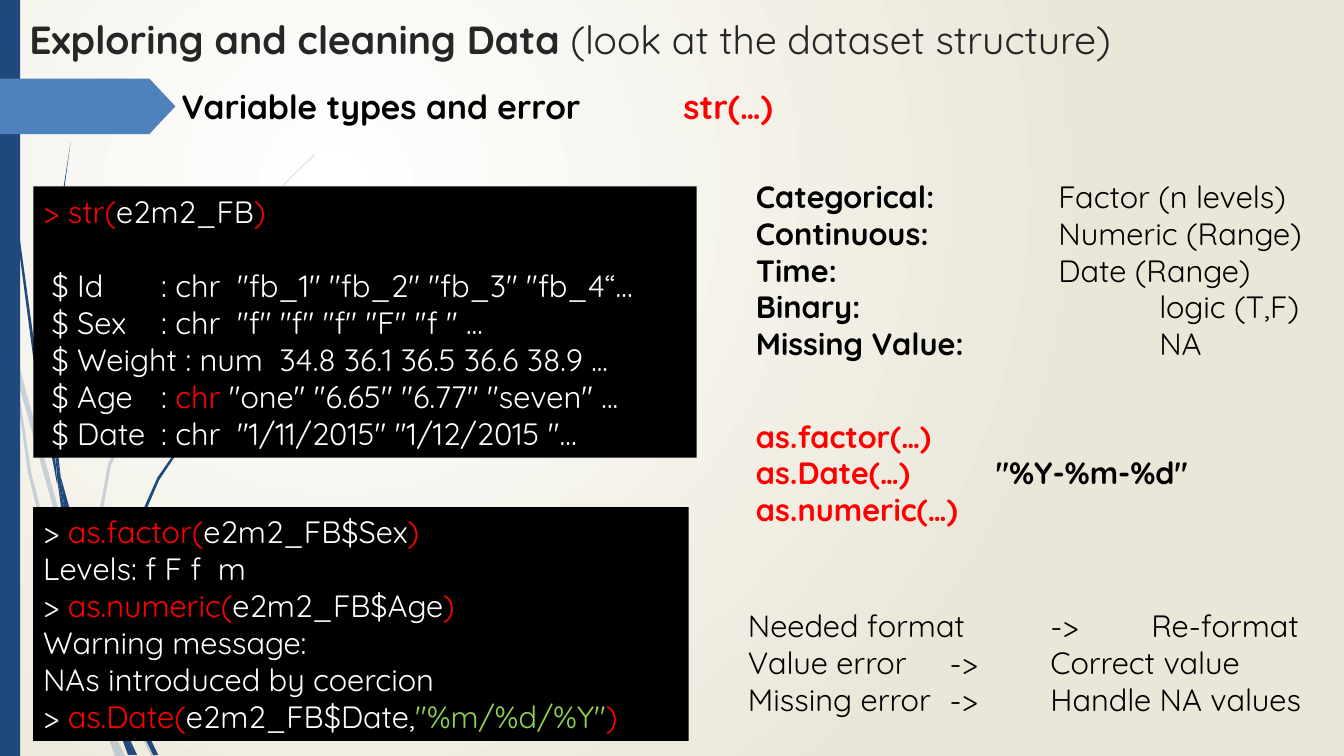
from lxml import etree
from pptx import Presentation
from pptx.dml.color import RGBColor
from pptx.enum.shapes import MSO_SHAPE
from pptx.enum.text import MSO_ANCHOR, PP_ALIGN
from pptx.oxml.ns import qn
from pptx.util import Inches, Pt

RECTANGLE, PENTAGON = MSO_SHAPE.RECTANGLE, MSO_SHAPE.PENTAGON
TOP, MIDDLE = MSO_ANCHOR.TOP, MSO_ANCHOR.MIDDLE
LEFT = PP_ALIGN.LEFT

FONT = "Quicksand"
COLORS = {
    "navy": "1F497D", "blue": "4F81BD", "black": "000000", "white": "FFFFFF",
    "red": "FF0000", "green": "92D050", "title": "262626", "cream": "EAE7D8",
}

# Outlines of the grass blades on the left, in inches
PALE_BLADES = [
    [(.11, 3.5), (.09, 3.22), (0, 2.82), (0, 2.99), (.1, 3.44)],
    [(.58, 5.22), (.84, 5.99), (.85, 5.86), (.62, 5.2), (.14, 3.45), (.17, 3.76)],
    [(.92, 6.07), (.88, 5.96), (.88, 6.1), (1.23, 6.94), (1.5, 7.5), (1.55, 7.5),
     (1.27, 6.92)],
    [(1.19, 7.5), (1.24, 7.5), (1.05, 7.11)],
    [(.93, 6.83), (.7, 6.19), (.31, 4.69), (.17, 3.76), (.11, 3.5), (.28, 4.7),
     (.65, 6.21), (.92, 6.93), (1.01, 7.14), (.99, 7.07)],
    [(.88, 5.84), (1.1, 4.62), (1.6, 3.49), (2.29, 2.45), (2.68, 1.98), (2.9, 1.75),
     (3.12, 1.54), (3.12, 1.53), (2.89, 1.75), (2.68, 1.97), (2.28, 2.44),
     (1.58, 3.48), (1.07, 4.61), (.85, 5.84), (.85, 5.86), (.88, 5.96)],
    [(1.01, 7.14), (1.14, 7.5), (1.19, 7.5)],
    [(.96, 6.92), (.93, 6.83), (.99, 7.07), (1.01, 7.14), (1.19, 7.5), (1.05, 7.11)],
]
DARK_BLADES = [
    [(.07, 1.1), (.17, 2.33), (.33, 3.55), (.56, 4.77), (.57, 4.81), (.55, 4.57),
     (.55, 4.53), (.36, 3.55), (.19, 2.32), (.08, 1.09), (.05, .48), (.04, 0),
     (.03, 0), (.04, .48)],
    [(.88, 5.92), (1.06, 6.45), (1.06, 6.31), (.93, 5.9), (.6, 4.72), (.64, 5.05)],
    [(1.13, 6.49), (1.1, 6.41), (1.11, 6.56), (1.32, 7.08), (1.52, 7.49),
     (1.57, 7.49), (1.36, 7.06)],
    [(1.1, 6.91), (.98, 6.57), (.72, 5.56), (.64, 5.05), (.57, 4.77), (.68, 5.57),
     (.93, 6.59), (1.11, 7.08), (1.17, 7.22), (1.16, 7.17)],
    [(.6, 4.72), (.58, 4.53), (.54, 3.49), (.58, 2.45), (.63, 1.93), (.7, 1.41),
     (.62, 1.93), (.56, 2.45), (.52, 3.49), (.55, 4.49)],
    [(1.33, 7.49), (1.36, 7.49), (1.22, 7.19)],
    [(.57, 4.77), (.64, 5.05), (.6, 4.72), (.55, 4.49), (.55, 4.53)],
    [(1.11, 6.33), (1.25, 5.52), (1.58, 4.76), (2.05, 4.06), (2.31, 3.74),
     (2.45, 3.59), (2.61, 3.44), (2.6, 3.44), (2.45, 3.58), (2.31, 3.73),
     (2.04, 4.05), (1.56, 4.74), (1.22, 5.51), (1.06, 6.31), (1.1, 6.41)],
    [(1.17, 7.22), (1.27, 7.49), (1.31, 7.49)],
    [(1.16, 7.06), (1.1, 6.91), (1.16, 7.17), (1.17, 7.22), (1.3, 7.49),
     (1.33, 7.49), (1.22, 7.19)],
]


def rgb(name):
    return RGBColor.from_string(COLORS[name])


def paint(shape, color):
    shape.shadow.inherit = False
    shape.fill.solid()
    shape.fill.fore_color.rgb = rgb(color)
    shape.line.fill.background()


def paint_background(slide):
    fill = slide.background.fill
    fill.gradient()
    for stop, color, position in zip(fill.gradient_stops, ("white", "cream"), (0, 1)):
        stop.color.rgb = rgb(color)
        stop.position = position
    # Radial gradient centred in the upper left quarter
    gradient = slide.background._cSld.find(".//" + qn("a:gradFill"))
    linear = gradient.find(qn("a:lin"))
    radial = etree.Element(qn("a:path"), path="circle")
    etree.SubElement(radial, qn("a:fillToRect"), l="50000", t="50000",
                     r="100000", b="100000")
    gradient.replace(linear, radial)


def add_blades(slide, outlines, opacity=100):
    group = slide.shapes.add_group_shape()
    for outline in outlines:
        start, *others = [(Inches(x), Inches(y)) for x, y in outline]
        builder = group.shapes.build_freeform(*start)
        builder.add_line_segments(others, close=True)
        blade = builder.convert_to_shape()
        paint(blade, "navy")
        if opacity < 100:
            color = blade.fill._xPr.find(".//" + qn("a:srgbClr"))
            etree.SubElement(color, qn("a:alpha"), val=str(opacity * 1000))


def add_panel(slide, preset, box, color):
    panel = slide.shapes.add_shape(preset, *map(Inches, box))
    paint(panel, color)
    return panel


def set_tabs(paragraph, stops):
    tab_list = etree.SubElement(paragraph._p.get_or_add_pPr(), qn("a:tabLst"))
    for stop in stops:
        etree.SubElement(tab_list, qn("a:tab"), pos=str(Inches(stop)), algn="l")


def write(shape, lines, size=22, anchor=TOP):
    """Each line is (runs, tab stops); each run is (text, color, bold)."""
    frame = shape.text_frame
    frame.word_wrap = True
    frame.vertical_anchor = anchor
    for index, (runs, stops) in enumerate(lines):
        paragraph = frame.add_paragraph() if index else frame.paragraphs[0]
        paragraph.alignment = LEFT
        if stops:
            set_tabs(paragraph, stops)
        for text, color, bold in runs:
            run = paragraph.add_run()
            run.text = text
            run.font.name, run.font.size, run.font.bold = FONT, Pt(size), bold
            run.font.color.rgb = rgb(color)
    return frame


def add_text(slide, box, lines, size=22):
    write(slide.shapes.add_textbox(*map(Inches, box)), lines, size)


def add_console(slide, box, lines):
    console = add_panel(slide, RECTANGLE, box, "black")
    # Columns of the listing start at the colon
    return write(console, [([(text, color, False) for text, color in runs], [1.17])
                           for runs in lines], anchor=MIDDLE)


def call(function, arguments):
    return [(function + "(", "red"), *arguments, (")", "red")]


def main():
    prs = Presentation()
    prs.slide_width, prs.slide_height = Inches(13.33), Inches(7.5)
    slide = prs.slides.add_slide(prs.slide_layouts[5])

    # Decoration
    paint_background(slide)
    add_blades(slide, PALE_BLADES, opacity=20)
    add_blades(slide, DARK_BLADES)
    add_panel(slide, RECTANGLE, (0, 0, .2, 7.5), "navy")
    add_panel(slide, PENTAGON, (0, .78, 1.74, .55), "blue").adjustments[0] = .47

    # Title and subtitle
    title = slide.shapes.title
    title.left, title.top, title.width, title.height = map(Inches, (.19, .06, 11.29, .66))
    write(title, [([("Exploring and cleaning Data", "title", True),
                    (" (look at the dataset structure)", "title", False)], [])],
          size=28, anchor=MIDDLE)
    add_text(slide, (1.7, .8, 7.46, .5),
             [([("Variable types and error\t", "black", True),
                ("str(…)", "red", True)], [4.98])], size=24)

    # Console: structure of the dataset
    structure = add_console(slide, (.33, 1.85, 6.58, 2.69), [
        [("> ", "red"), *call("str", [("e2m2_FB", "white")])],
        [(' $ Id\t: chr  "fb_1" "fb_2" "fb_3" "fb_4“…', "white")],
        [(' $ Sex\t: chr  "f" "f" "f" "F" "f " ...', "white")],
        [(" $ Weight : num  34.8 36.1 36.5 36.6 38.9 ...", "white")],
        [(" $ Age\t: ", "white"), ("chr", "red"),
         (' "one" "6.65" "6.77" "seven" ...', "white")],
        [(' $ Date\t: chr  "1/11/2015" "1/12/2015 "…', "white")],
    ])
    structure.paragraphs[1].space_before = Pt(26.4)

    # Variable types
    types = [("Categorical:", "Factor (n levels)", 3), ("Continuous:", "Numeric (Range)", 3),
             ("Time:", "Date (Range)", 3), ("Binary:", "logic (T,F)", 4),
             ("Missing Value:", "NA", 4)]
    add_text(slide, (7.4, 1.71, 5.83, 1.95),
             [([(kind + "\t", "black", True), (value, "black", False)], [stop])
              for kind, value, stop in types])

    # Conversion functions
    add_text(slide, (7.4, 4.09, 5.04, 1.21), [
        ([("as.factor(…)", "red", True)], []),
        ([("as.Date(…)\t", "red", True), ('"%Y-%m-%d"', "black", True)], [2.38]),
        ([("as.numeric(…)", "red", True)], []),
    ])

    # Console: conversions
    prompt = ("> ", "white")
    add_console(slide, (.33, 5.03, 6.5, 2.32), [
        [prompt, *call("as.factor", [("e2m2_FB$Sex", "white")])],
        [("Levels: f F f  m", "white")],
        [prompt, *call("as.numeric", [("e2m2_FB$Age", "white")])],
        [("Warning message:", "white")],
        [("NAs introduced by coercion", "white")],
        [prompt, *call("as.Date", [("e2m2_FB$Date,", "white"), ('"%m/%d/%Y"', "green")])],
    ])

    # Problems and remedies
    remedies = [("Needed format", "Re-format", [3, 4]), ("Value error", "Correct value", [2, 3]),
                ("Missing error", "Handle NA values", [2, 3])]
    add_text(slide, (7.32, 5.97, 5.91, 1.21),
             [([(f"{problem}\t->\t{remedy}", "black", False)], stops)
              for problem, remedy, stops in remedies])

    prs.save("out.pptx")


if __name__ == "__main__":
    main()
